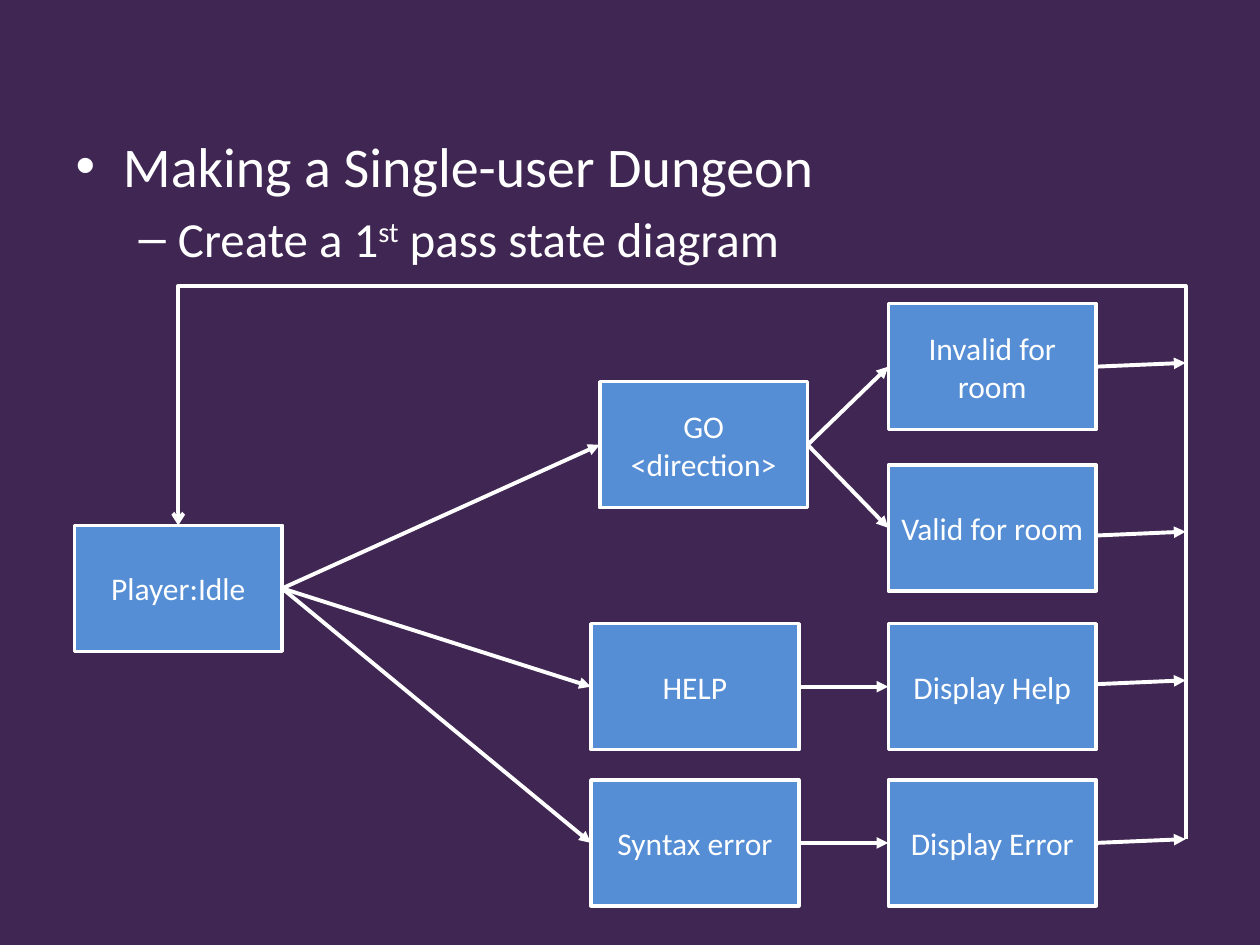
"""Build a slide with the first-pass state diagram of a single-user dungeon."""
from lxml import etree
from pptx import Presentation
from pptx.dml.color import RGBColor
from pptx.enum.shapes import MSO_CONNECTOR, MSO_SHAPE
from pptx.enum.text import MSO_ANCHOR, PP_ALIGN
from pptx.oxml.ns import qn
from pptx.util import Inches, Pt

STRAIGHT, ELBOW = MSO_CONNECTOR.STRAIGHT, MSO_CONNECTOR.ELBOW
RECTANGLE = MSO_SHAPE.RECTANGLE
CENTER, MIDDLE = PP_ALIGN.CENTER, MSO_ANCHOR.MIDDLE
COLORS = {"background": "402652", "box": "558ED5", "white": "FFFFFF"}
FONT = "Calibri"

BULLETS = [
    (0, 32, [("Making a Single-user Dungeon", False)]),
    (1, 28, [("Create a 1", False), ("st", True), (" pass state diagram", False)]),
]
BOX_WIDTH, BOX_HEIGHT = 1.65, 1
STATES = {
    "Player:Idle": (0.59, 4.17),
    "GO <direction>": (4.76, 3.03),
    "Invalid for room": (7.05, 2.41),
    "Valid for room": (7.05, 3.69),
    "HELP": (4.69, 4.95),
    "Display Help": (7.05, 4.95),
    "Syntax error": (4.69, 6.19),
    "Display Error": (7.05, 6.19),
}
TRANSITIONS = [
    ("Player:Idle", "GO <direction>"),
    ("Player:Idle", "HELP"),
    ("Player:Idle", "Syntax error"),
    ("GO <direction>", "Invalid for room"),
    ("GO <direction>", "Valid for room"),
    ("HELP", "Display Help"),
    ("Syntax error", "Display Error"),
]
RETURN_STARTS = [6.69, 5.43, 4.25, 2.91]
RETURN_X, RETURN_TOP, RETURN_BOTTOM, RETURN_RISE = 9.41, 2.27, 6.66, 0.03
LEFT_SITE, RIGHT_SITE = 1, 3


def color(name):
    return RGBColor.from_string(COLORS[name])


def add_run(paragraph, text, size):
    run = paragraph.add_run()
    run.text = text
    run.font.name = FONT
    run.font.size = Pt(size)
    run.font.color.rgb = color("white")
    return run


def fill_body(body):
    body.left, body.top, body.width, body.height = map(Inches, (0.5, 0.99, 9, 6.14))
    frame = body.text_frame
    for index, (level, size, pieces) in enumerate(BULLETS):
        paragraph = frame.add_paragraph() if index else frame.paragraphs[0]
        paragraph.level = level
        for text, raised in pieces:
            run = add_run(paragraph, text, size)
            if raised:
                run._r.get_or_add_rPr().set("baseline", "30000")


def add_state(slide, name, left, top):
    box = slide.shapes.add_shape(
        RECTANGLE, *map(Inches, (left, top, BOX_WIDTH, BOX_HEIGHT)))
    box.shadow.inherit = False
    box.fill.solid()
    box.fill.fore_color.rgb = color("box")
    box.line.color.rgb = color("white")
    box.line.width = Pt(2)
    frame = box.text_frame
    frame.word_wrap = True
    frame.vertical_anchor = MIDDLE
    frame.paragraphs[0].alignment = CENTER
    add_run(frame.paragraphs[0], name, 18)
    return box


def add_arrow(slide, start, end, kind=STRAIGHT, head="triangle"):
    arrow = slide.shapes.add_connector(kind, *map(Inches, (*start, *end)))
    arrow.line.color.rgb = color("white")
    arrow.line.width = Pt(2.25)
    properties = arrow.element.spPr
    etree.SubElement(properties.find(qn("a:ln")), qn("a:tailEnd"), type=head)
    etree.SubElement(properties, qn("a:effectLst"))
    return arrow


def add_return_path(slide):
    left, top = STATES["Player:Idle"]
    arrow = add_arrow(slide, (RETURN_X, RETURN_BOTTOM),
                      (left + BOX_WIDTH / 2, top), ELBOW, "arrow")
    geometry = arrow.element.spPr.find(qn("a:prstGeom"))
    geometry.set("prst", "bentConnector4")
    guides = geometry.find(qn("a:avLst"))
    rise = (RETURN_BOTTOM - RETURN_TOP) / (RETURN_BOTTOM - top)
    for name, value in (("adj1", 0), ("adj2", round(rise * 100000))):
        etree.SubElement(guides, qn("a:gd"), name=name, fmla=f"val {value}")


def main():
    presentation = Presentation()
    presentation.slide_width, presentation.slide_height = Inches(10), Inches(7.5)
    slide = presentation.slides.add_slide(presentation.slide_layouts[1])
    slide.background.fill.solid()
    slide.background.fill.fore_color.rgb = color("background")
    title = slide.shapes.title.element
    title.getparent().remove(title)
    fill_body(slide.placeholders[1])

    boxes = {name: add_state(slide, name, *place) for name, place in STATES.items()}
    for source, target in TRANSITIONS:
        arrow = add_arrow(slide, STATES[source], STATES[target])
        arrow.begin_connect(boxes[source], RIGHT_SITE)
        arrow.end_connect(boxes[target], LEFT_SITE)

    add_return_path(slide)
    result_right = STATES["Display Error"][0] + BOX_WIDTH
    for start in RETURN_STARTS:
        add_arrow(slide, (result_right, start), (RETURN_X, start - RETURN_RISE))
    presentation.save("out.pptx")


if __name__ == "__main__":
    main()
